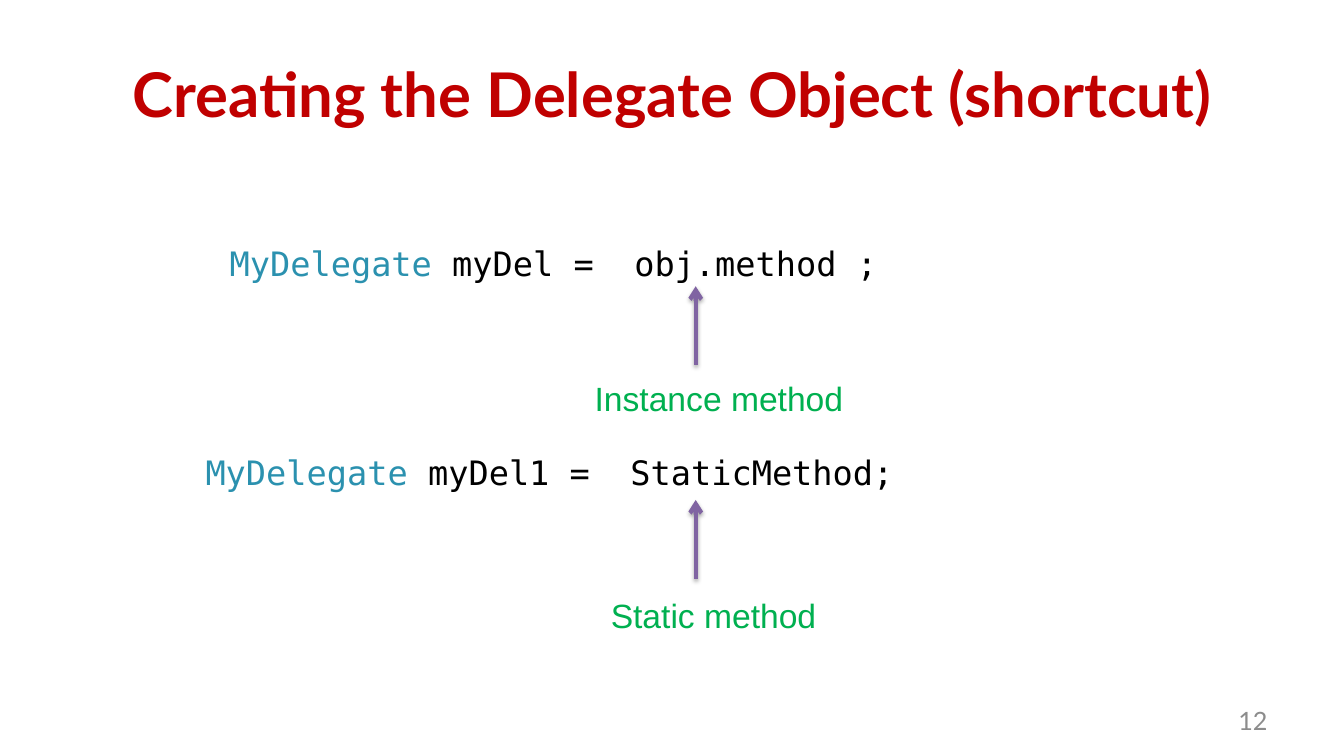
from pptx import Presentation
from pptx.dml.color import RGBColor
from pptx.enum.shapes import MSO_CONNECTOR
from pptx.enum.text import MSO_ANCHOR, PP_ALIGN
from pptx.oxml import parse_xml
from pptx.oxml.ns import nsdecls
from pptx.util import Inches, Pt

RED = RGBColor(0xC0, 0x00, 0x00)
TEAL = RGBColor(0x2B, 0x91, 0xAF)
BLACK = RGBColor(0x00, 0x00, 0x00)
GREEN = RGBColor(0x00, 0xB0, 0x50)
PURPLE = RGBColor(0x80, 0x64, 0xA2)
GRAY = RGBColor(0x8C, 0x8C, 0x8C)

SHADOW = (
    f'<a:effectLst {nsdecls("a")}>'
    '<a:outerShdw blurRad="39400" dist="22900" dir="5400000" rotWithShape="0">'
    '<a:srgbClr val="000000"><a:alpha val="35000"/></a:srgbClr>'
    '</a:outerShdw></a:effectLst>'
)


def add_span(para, text, font="Arial", size=24, color=BLACK, bold=False):
    span = para.add_run()
    span.text = text
    span.font.name = font
    span.font.size = Pt(size)
    span.font.color.rgb = color
    span.font.bold = bold


def add_box(shapes, left, top, width, height=0.5):
    box = shapes.add_textbox(Inches(left), Inches(top), Inches(width), Inches(height))
    box.text_frame.word_wrap = True
    return box.text_frame


deck = Presentation()
deck.slide_width = Inches(13.33)
deck.slide_height = Inches(7.5)
page = deck.slides.add_slide(deck.slide_layouts[5])

# Title
title = page.shapes.title
title.left, title.top = Inches(0.67), Inches(0.3)
title.width, title.height = Inches(12), Inches(1.25)
title.text_frame.vertical_anchor = MSO_ANCHOR.MIDDLE
heading = title.text_frame.paragraphs[0]
heading.alignment = PP_ALIGN.CENTER
add_span(heading, "Creating the Delegate Object (shortcut)",
         font="Lato", size=44, color=RED, bold=True)

# Code lines
for left, top, width, code in [
    (2.18, 2.36, 9.13, " myDel =  obj.method ;"),
    (1.94, 4.43, 9.45, " myDel1 =  StaticMethod;"),
]:
    para = add_box(page.shapes, left, top, width).paragraphs[0]
    add_span(para, "MyDelegate", font="DejaVu Sans Mono", color=TEAL)
    add_span(para, code, font="DejaVu Sans Mono")

# Labels, each grouped with an arrow up to its code line
for label, left, top, arrow_top in [
    ("Instance method", 5.8, 3.7, 2.84),
    ("Static method", 5.96, 5.85, 4.96),
]:
    group = page.shapes.add_group_shape()
    add_span(add_box(group.shapes, left, top, 2.76).paragraphs[0], label, color=GREEN)
    arrow = group.shapes.add_connector(
        MSO_CONNECTOR.STRAIGHT,
        Inches(6.9), Inches(arrow_top + 0.78), Inches(6.9), Inches(arrow_top))
    arrow.line.color.rgb = PURPLE
    arrow.line.width = Pt(3)
    arrow.line._get_or_add_ln().append(
        parse_xml(f'<a:tailEnd {nsdecls("a")} type="arrow"/>'))
    arrow._element.spPr.append(parse_xml(SHADOW))

# Page number
number = add_box(page.shapes, 9.56, 6.95, 3.11, 0.4)
number.vertical_anchor = MSO_ANCHOR.MIDDLE
number.paragraphs[0].alignment = PP_ALIGN.RIGHT
add_span(number.paragraphs[0], "12", font="Lato", size=18, color=GRAY)

deck.save("out.pptx")
